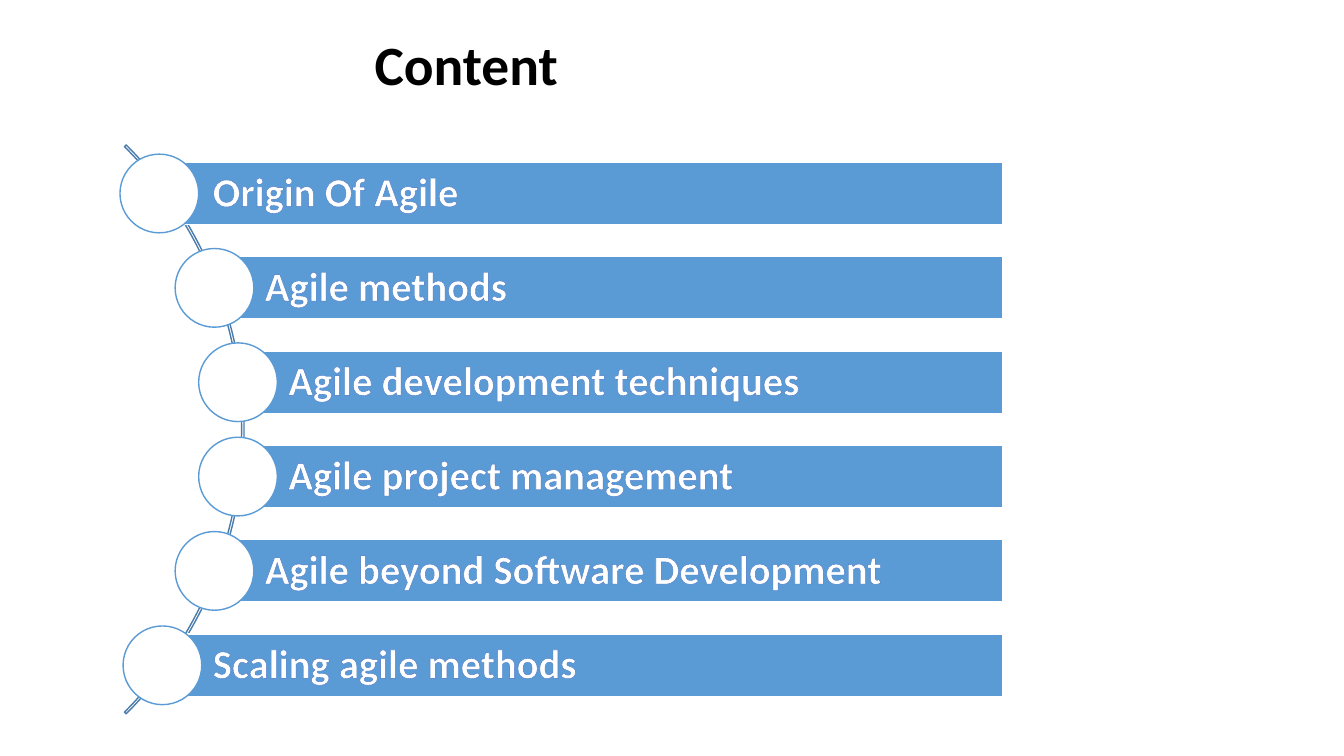
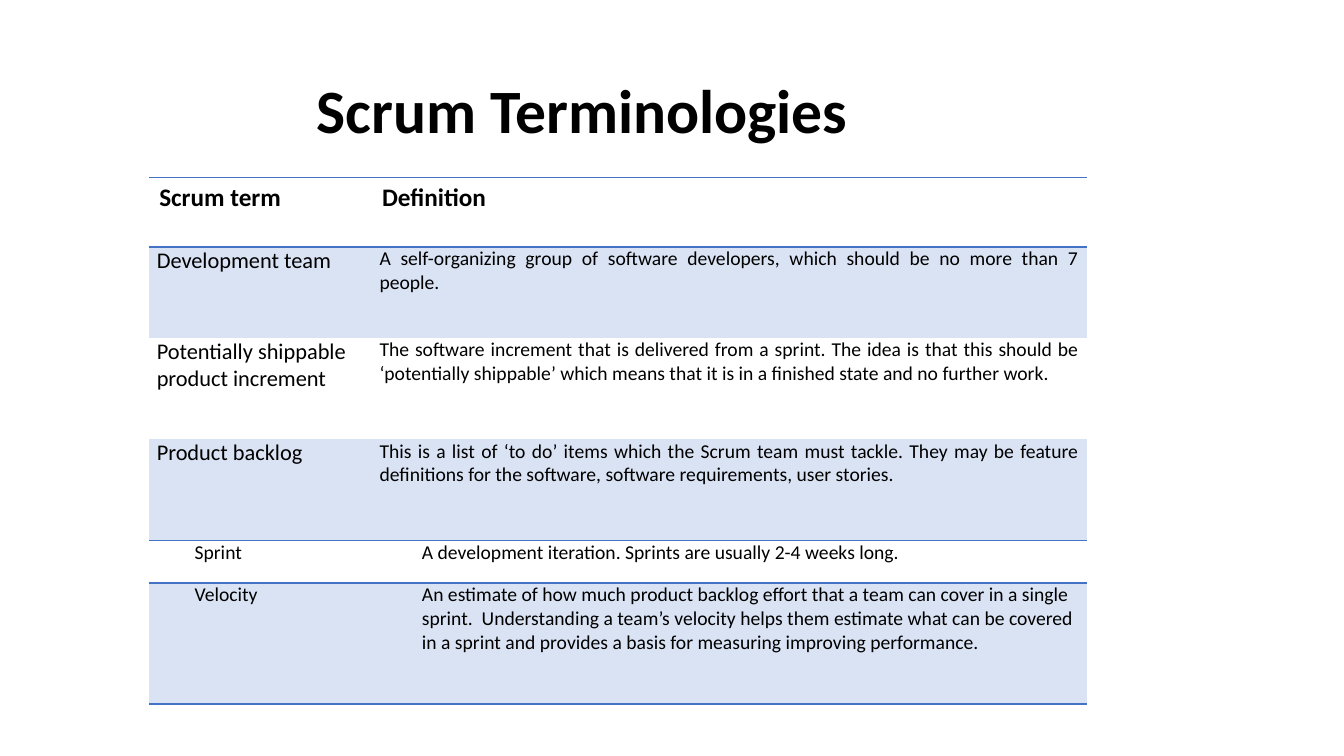
from lxml.etree import SubElement
from pptx import Presentation
from pptx.dml.color import RGBColor
from pptx.enum.shapes import MSO_SHAPE as SHAPE
from pptx.enum.text import MSO_ANCHOR as ANCHOR, PP_ALIGN as ALIGN
from pptx.oxml import parse_xml
from pptx.oxml.ns import nsdecls, qn
from pptx.util import Pt

FONT = "Calibri"
BLACK, WHITE = "000000", "FFFFFF"
BAR_BLUE, ARC_BLUE, RULE_BLUE, BAND = "5B9BD5", "497CAB", "4472C4", "DAE3F3"
NO_STYLE = "{2D5ABB26-0587-4C30-8999-92F81FD0307C}"

# Agenda topic and left edge of its bar
TOPICS = [
    ("Origin Of Agile", 116),
    ("Agile methods", 153.2),
    ("Agile development techniques", 170),
    ("Agile project management", 170),
    ("Agile beyond Software Development", 153.2),
    ("Scaling agile methods", 116),
]
BAR_TOP, BAR_STEP, BAR_HEIGHT, BAR_RIGHT = 115.9, 67.4, 44.6, 716
CIRCLE = 56.2

HEADER = ("Scrum term", "Definition")
MAIN_TERMS = [
    ("Development team",
     "A self-organizing group of software developers, which should be "
     "no more than 7 people."),
    ("Potentially shippable product increment",
     "The software increment that is delivered from a sprint. The idea is "
     "that this should be ‘potentially shippable’ which means that it is in "
     "a finished state and no further work."),
    ("Product backlog",
     "This is a list of ‘to do’ items which the Scrum team must tackle. They "
     "may be feature definitions for the software, software requirements, "
     "user stories."),
]
SPRINT_TERMS = [
    ("Sprint",
     "A development iteration. Sprints are usually 2-4 weeks long."),
    ("Velocity",
     "An estimate of how much product backlog effort that a team can cover "
     "in a single sprint.  Understanding a team’s velocity helps them "
     "estimate what can be covered in a sprint and provides a basis for "
     "measuring improving performance."),
]
TABLE_LEFT, TABLE_TOP = 106.6, 126.7
MAIN_HEIGHTS = [49.8, 65, 72.4, 72.4]
MAIN_WIDTHS = [159.1, 510.5]
SPRINT_HEIGHTS = [30.2, 86.4]
SPRINT_WIDTHS = [189.4, 480.2]


def rgb(color):
    return RGBColor.from_string(color)


def box(*lengths):
    return [Pt(length) for length in lengths]


def set_margins(holder, left, top, right, bottom):
    """Set the insets of a text frame or a table cell."""
    holder.margin_left, holder.margin_top = Pt(left), Pt(top)
    holder.margin_right, holder.margin_bottom = Pt(right), Pt(bottom)


def write(paragraph, text, size, color=BLACK, bold=False):
    run = paragraph.add_run()
    run.text = text
    run.font.name = FONT
    run.font.size = Pt(size)
    run.font.bold = bold
    run.font.color.rgb = rgb(color)
    return run


def add_title(slide, text, place, size, align):
    frame = slide.shapes.add_textbox(*box(*place)).text_frame
    frame.word_wrap = True
    frame.vertical_anchor = ANCHOR.MIDDLE
    paragraph = frame.paragraphs[0]
    paragraph.alignment = align
    paragraph.line_spacing = 0.9
    write(paragraph, text, size, bold=True)


def add_figure(slide, preset, place, fill, line):
    figure = slide.shapes.add_shape(preset, *box(*place))
    figure.shadow.inherit = False
    if fill:
        figure.fill.solid()
        figure.fill.fore_color.rgb = rgb(fill)
    else:
        figure.fill.background()
    figure.line.color.rgb = rgb(line)
    figure.line.width = Pt(1)
    return figure


def outline_text(run, color, width):
    outline = parse_xml(f'<a:ln {nsdecls("a")} w="{Pt(width)}"><a:solidFill>'
                        f'<a:srgbClr val="{color}"/></a:solidFill></a:ln>')
    run.font._element.insert(0, outline)


def add_topic(slide, index, text, left):
    """Draw one agenda bar with the circle centred on its left edge."""
    top = BAR_TOP + index * BAR_STEP
    bar = add_figure(slide, SHAPE.RECTANGLE,
                     (left, top, BAR_RIGHT - left, BAR_HEIGHT), BAR_BLUE, WHITE)
    frame = bar.text_frame
    frame.word_wrap = True
    frame.vertical_anchor = ANCHOR.MIDDLE
    set_margins(frame, 36, 5.8, 5.8, 5.8)
    paragraph = frame.paragraphs[0]
    paragraph.alignment = ALIGN.LEFT
    paragraph.line_spacing = 0.9
    outline_text(write(paragraph, text, 29, WHITE, bold=True), RULE_BLUE, 0.8)

    nudge = 2.2 if index == 0 else 0
    add_figure(slide, SHAPE.OVAL,
               (left - CIRCLE / 2 - nudge, top - (CIRCLE - BAR_HEIGHT) / 2,
                CIRCLE, CIRCLE), WHITE, BAR_BLUE)


def add_rules(cell, sides):
    """Draw borders on the given sides, T for top and B for bottom."""
    properties = cell._tc.get_or_add_tcPr()
    for position, side in enumerate(sides):
        rule = parse_xml(f'<a:ln{side} {nsdecls("a")} w="{Pt(1)}"/>')
        fill = SubElement(rule, qn("a:solidFill"))
        SubElement(fill, qn("a:srgbClr"), val=RULE_BLUE)
        properties.insert(position, rule)


def add_grid(slide, top, widths, heights):
    """Add an empty table without any style and return it."""
    frame = slide.shapes.add_table(
        len(heights), len(widths),
        *box(TABLE_LEFT, top, sum(widths), sum(heights)))
    table = frame.table
    table.first_row = table.horz_banding = False
    table._tbl.tblPr.find(qn("a:tableStyleId")).text = NO_STYLE
    for column, width in zip(table.columns, widths):
        column.width = Pt(width)
    for row, height in zip(table.rows, heights):
        row.height = Pt(height)
    return table


def fill_cell(cell, text, size, bold=False, shaded=False, sides="",
              align=ALIGN.LEFT, indent=0):
    paragraph = cell.text_frame.paragraphs[0]
    paragraph.alignment = align
    if indent:
        paragraph._p.get_or_add_pPr().set("indent", str(Pt(indent)))
    write(paragraph, text, size, bold=bold)
    if shaded:
        cell.fill.solid()
        cell.fill.fore_color.rgb = rgb(BAND)
    else:
        cell.fill.background()
    add_rules(cell, sides)


def fill_terms(table, first_row, terms, shaded_rows, rules, sizes, align, indent):
    """Fill term and definition rows; rules maps a row to its border sides."""
    for row, texts in enumerate(terms, first_row):
        for column, text in enumerate(texts):
            cell = table.cell(row, column)
            set_margins(cell, 5.4, 0, 5.4, 0)
            fill_cell(cell, text, sizes[column], shaded=row in shaded_rows,
                      sides=rules.get(row, ""),
                      align=align if column else ALIGN.LEFT,
                      indent=0 if column else indent)


def build_content(slide):
    add_title(slide, "Content", (82, 29.5, 502, 37.4), 39.6, ALIGN.CENTER)
    arc = add_figure(slide, SHAPE.BLOCK_ARC, (-400.3, 19.4, 574.6, 574.6),
                     None, ARC_BLUE)
    for index, value in enumerate((189, 27, 0.003)):
        arc.adjustments[index] = value
    for index, (text, left) in enumerate(TOPICS):
        add_topic(slide, index, text, left)


def build_terminologies(slide):
    add_title(slide, "Scrum Terminologies", (218.9, 28.8, 434, 104.4), 44,
              ALIGN.LEFT)
    main_table = add_grid(slide, TABLE_TOP, MAIN_WIDTHS, MAIN_HEIGHTS)
    for column, text in enumerate(HEADER):
        fill_cell(main_table.cell(0, column), text, 18, bold=True, sides="TB")
    fill_terms(main_table, 1, MAIN_TERMS, {1, 3}, {3: "B"}, (16, 14),
               ALIGN.JUSTIFY, 0)
    sprint_table = add_grid(slide, TABLE_TOP + sum(MAIN_HEIGHTS),
                            SPRINT_WIDTHS, SPRINT_HEIGHTS)
    fill_terms(sprint_table, 0, SPRINT_TERMS, {1}, {0: "TB", 1: "TB"},
               (14, 14), ALIGN.LEFT, 27)


def main():
    deck = Presentation()
    deck.slide_width, deck.slide_height = Pt(960), Pt(540)
    for build in (build_content, build_terminologies):
        build(deck.slides.add_slide(deck.slide_layouts[6]))
    deck.save("out.pptx")


if __name__ == "__main__":
    main()
